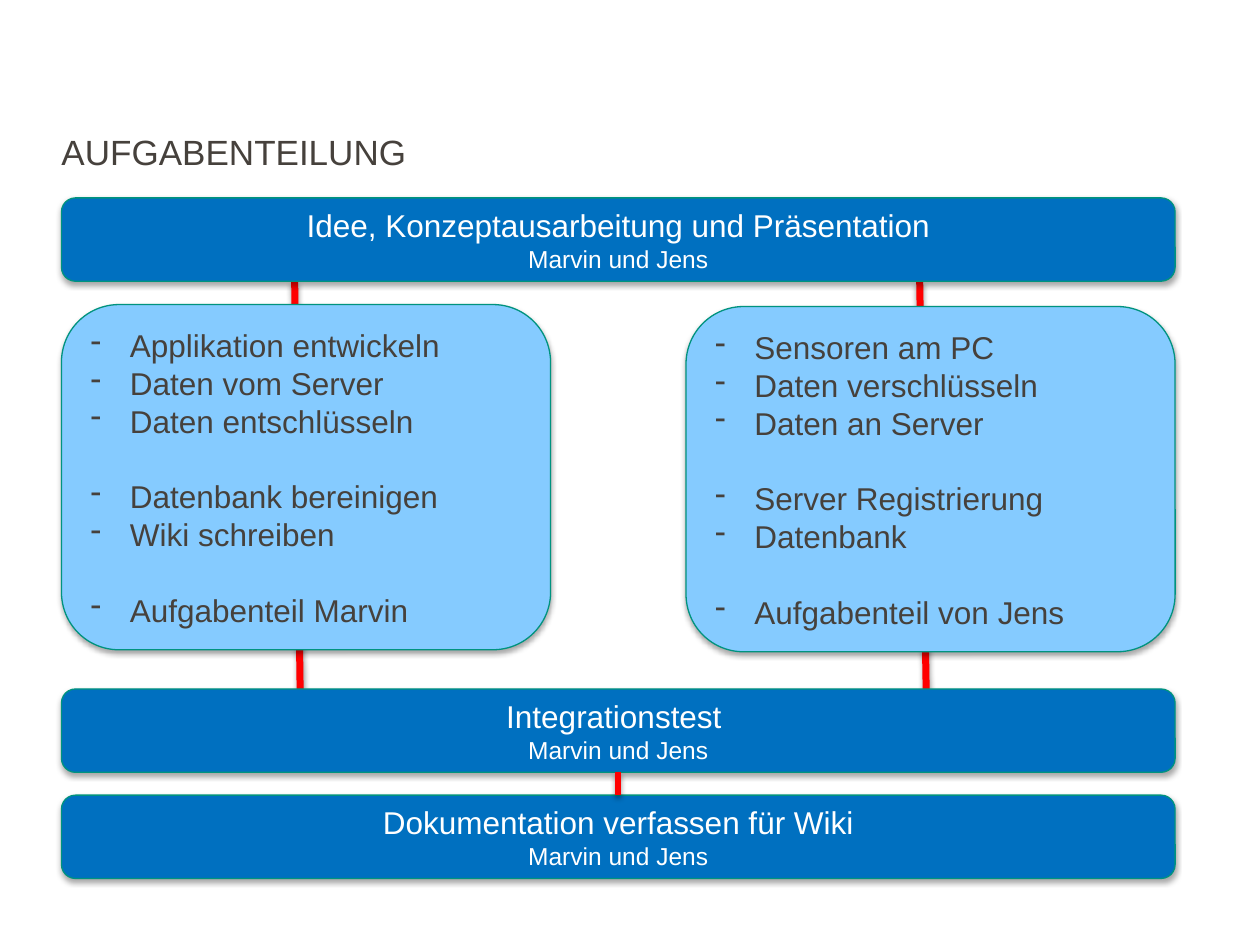
from dataclasses import dataclass

from lxml.etree import SubElement
from pptx import Presentation
from pptx.dml.color import RGBColor
from pptx.enum.shapes import MSO_CONNECTOR, MSO_SHAPE
from pptx.enum.text import MSO_ANCHOR, PP_ALIGN
from pptx.oxml.ns import qn
from pptx.util import Cm, Pt


@dataclass(frozen=True)
class Theme:
    font: str = "Arial"
    text: str = "46413C"
    light_text: str = "FFFFFF"
    bar: str = "0070C0"
    panel: str = "85CBFF"
    outline: str = "00937F"
    link: str = "FF0000"
    title_size: float = 20
    body_size: float = 18
    names_size: float = 14
    line_spacing: float = 1.0
    group_gap: float = 21.6


class Board:
    def __init__(self, slide, theme):
        self.slide = slide
        self.theme = theme

    def style(self, paragraph, size, color):
        paragraph.line_spacing = self.theme.line_spacing
        for run in paragraph.runs:
            run.font.name = self.theme.font
            run.font.size = Pt(size)
            run.font.color.rgb = RGBColor.from_string(color)

    def shadow(self, element, opacity, distance):
        effects = SubElement(element.spPr, qn("a:effectLst"))
        outer = SubElement(effects, qn("a:outerShdw"), blurRad=str(Pt(3.1)),
                           dist=str(Pt(distance)), dir="5400000", rotWithShape="0")
        color = SubElement(outer, qn("a:srgbClr"), val="000000")
        SubElement(color, qn("a:alpha"), val=str(opacity * 1000))

    def title(self, text, left, top, width, height):
        heading = self.slide.shapes.add_textbox(Cm(left), Cm(top), Cm(width), Cm(height))
        frame = heading.text_frame
        frame.word_wrap = True
        frame.vertical_anchor = MSO_ANCHOR.BOTTOM
        frame.margin_left = frame.margin_right = frame.margin_bottom = 0
        frame.text = text
        self.style(frame.paragraphs[0], self.theme.title_size, self.theme.text)

    def box(self, left, top, width, height, fill):
        box = self.slide.shapes.add_shape(
            MSO_SHAPE.ROUNDED_RECTANGLE, Cm(left), Cm(top), Cm(width), Cm(height))
        box.fill.solid()
        box.fill.fore_color.rgb = RGBColor.from_string(fill)
        box.line.color.rgb = RGBColor.from_string(self.theme.outline)
        box.line.width = Pt(0.75)
        self.shadow(box.element, 35, 1.8)
        box.text_frame.word_wrap = True
        box.text_frame.vertical_anchor = MSO_ANCHOR.MIDDLE
        return box.text_frame

    def bar(self, task, names, left, top, width, height):
        frame = self.box(left, top, width, height, self.theme.bar)
        frame.text = f"{task}\n{names}"
        sizes = (self.theme.body_size, self.theme.names_size)
        for paragraph, size in zip(frame.paragraphs, sizes):
            paragraph.alignment = PP_ALIGN.CENTER
            self.style(paragraph, size, self.theme.light_text)

    def panel(self, groups, left, top, width, height):
        frame = self.box(left, top, width, height, self.theme.panel)
        frame.text = "\n".join(task for group in groups for task in group)
        group_starts = {group[0] for group in groups[1:]}
        for paragraph in frame.paragraphs:
            paragraph.alignment = PP_ALIGN.LEFT
            self.style(paragraph, self.theme.body_size, self.theme.text)
            if paragraph.text in group_starts:
                paragraph.space_before = Pt(self.theme.group_gap)
            properties = paragraph._p.get_or_add_pPr()
            properties.set("marL", str(Cm(0.79)))
            properties.set("indent", str(-Cm(0.79)))
            SubElement(properties, qn("a:buChar"), char="-")

    def link(self, start, end, width):
        link = self.slide.shapes.add_connector(
            MSO_CONNECTOR.STRAIGHT, *(Cm(value) for value in start + end))
        link.line.color.rgb = RGBColor.from_string(self.theme.link)
        link.line.width = Pt(width)
        self.shadow(link.element, 38, 1.6)


presentation = Presentation()
presentation.slide_width, presentation.slide_height = Cm(25.4), Cm(19.05)
board = Board(presentation.slides.add_slide(presentation.slide_layouts[6]), Theme())

# Shared grid
LEFT, FULL_WIDTH, BAR_HEIGHT = 1.24, 22.45, 1.68
PANEL_WIDTH, PANEL_HEIGHT = 9.86, 6.96
RIGHT_PANEL = LEFT + FULL_WIDTH - PANEL_WIDTH
IDEA_TOP, TEST_TOP, WIKI_TOP = 3.99, 13.89, 16.03

# Links behind the two work areas
for start_x, end_x in ((18.54, 18.67), (5.94, 6.05)):
    board.link((start_x, IDEA_TOP + BAR_HEIGHT), (end_x, TEST_TOP), 4)

board.title("AUFGABENTEILUNG", LEFT, 1.07, 15.8, 2.41)

# Shared tasks
for task, top in (
    ("Idee, Konzeptausarbeitung und Präsentation", IDEA_TOP),
    ("Integrationstest ", TEST_TOP),
    ("Dokumentation verfassen für Wiki", WIKI_TOP),
):
    board.bar(task, "Marvin und Jens", LEFT, top, FULL_WIDTH, BAR_HEIGHT)

# Individual work areas
jens_tasks = (
    ("Sensoren am PC", "Daten verschlüsseln", "Daten an Server"),
    ("Server Registrierung", "Datenbank"),
    ("Aufgabenteil von Jens",),
)
marvin_tasks = (
    ("Applikation entwickeln", "Daten vom Server", "Daten entschlüsseln"),
    ("Datenbank bereinigen", "Wiki schreiben"),
    ("Aufgabenteil Marvin",),
)
board.panel(jens_tasks, RIGHT_PANEL, 6.18, PANEL_WIDTH, PANEL_HEIGHT)
board.panel(marvin_tasks, LEFT, 6.14, PANEL_WIDTH, PANEL_HEIGHT)

# Link from test to documentation
center = LEFT + FULL_WIDTH / 2
board.link((center, TEST_TOP + BAR_HEIGHT), (center, WIKI_TOP), 3.5)

presentation.save("out.pptx")
